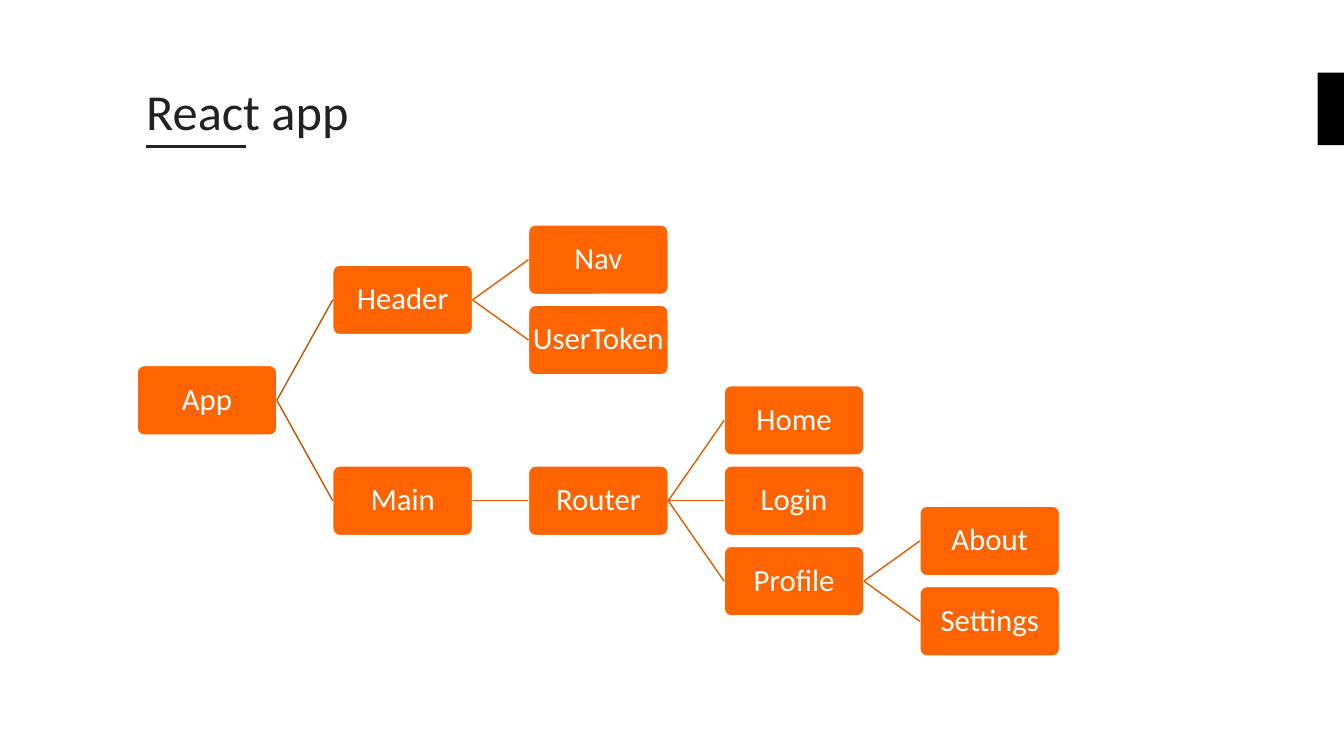
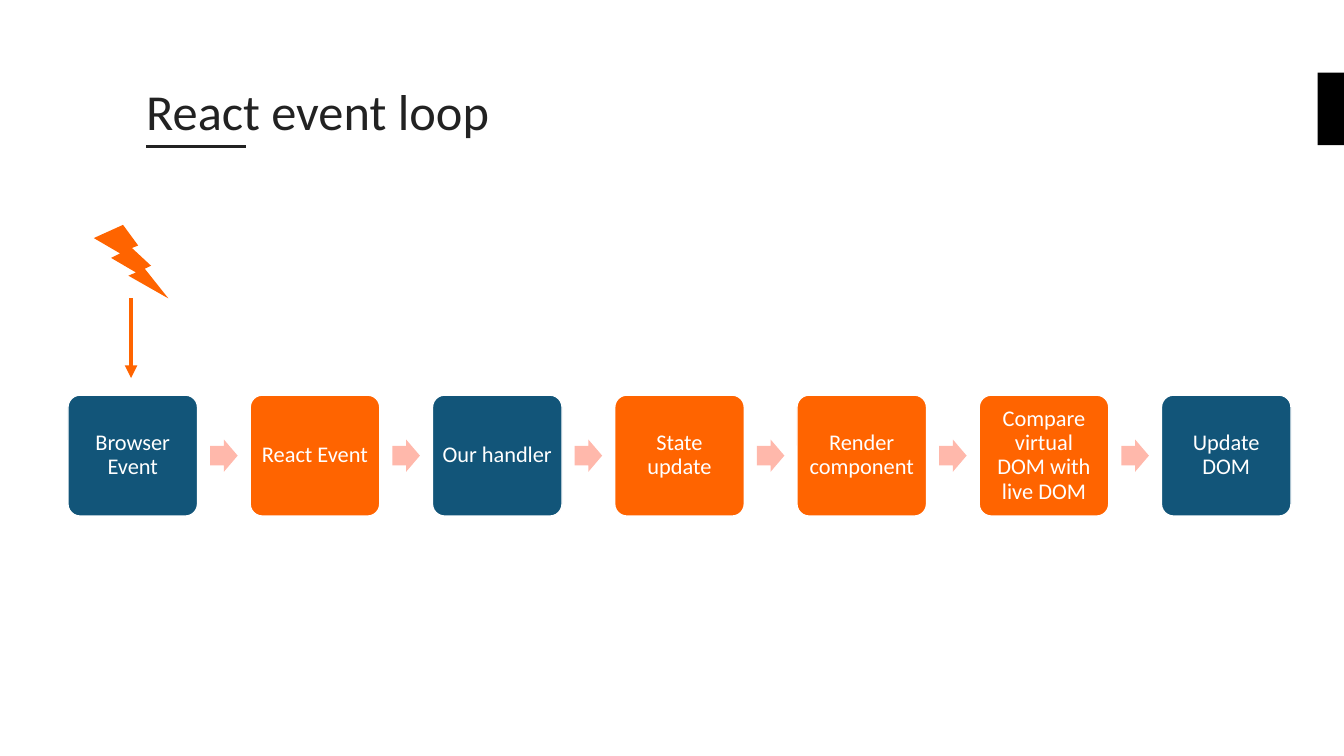
from dataclasses import dataclass

from lxml.etree import SubElement
from pptx import Presentation
from pptx.dml.color import RGBColor
from pptx.enum.shapes import MSO_CONNECTOR as Connector, MSO_SHAPE as Shape
from pptx.enum.text import MSO_ANCHOR as Anchor, PP_ALIGN as Align
from pptx.oxml.ns import qn
from pptx.util import Inches, Pt

ORANGE, BLUE, PINK = "FF6400", "125579", "FFB8AB"
INK, WHITE, BLACK = "222222", "FFFFFF", "000000"
ROOT_LINE, BRANCH_LINE = "CC5000", "E75B00"
LEFT, RIGHT = 1, 3  # connection sites of a rectangle

COMPONENTS = {
    "App": ["Header", "Main"],
    "Header": ["Nav", "UserToken"],
    "Main": ["Router"],
    "Router": ["Home", "Login", "Profile"],
    "Profile": ["About", "Settings"],
}
STEPS = [
    ("Browser Event", BLUE),
    ("React Event", ORANGE),
    ("Our handler", BLUE),
    ("State update", ORANGE),
    ("Render component", ORANGE),
    ("Compare virtual DOM with live DOM", ORANGE),
    ("Update DOM", BLUE),
]


def color(value):
    return RGBColor.from_string(value)


@dataclass
class Grid:
    """Equal cells; all lengths are percent of the slide's width or height."""
    left: float
    top: float
    column_step: float
    row_step: float
    width: float
    height: float

    def cell(self, column, row=0):
        return (self.left + column * self.column_step,
                self.top + row * self.row_step, self.width, self.height)


class Deck:
    """Style and current page; positions are percent of the slide's size."""
    font = "Calibri"

    def __init__(self):
        self.file = Presentation()
        self.file.slide_width = Inches(13.33)
        self.file.slide_height = Inches(7.5)
        self.page = None

    def x(self, share):
        return round(self.file.slide_width * share / 100)

    def y(self, share):
        return round(self.file.slide_height * share / 100)

    def area(self, left, top, width, height):
        return self.x(left), self.y(top), self.x(width), self.y(height)

    def add_page(self, title):
        self.page = self.file.slides.add_slide(self.file.slide_layouts[5])
        self.add_shape(Shape.RECTANGLE, (98.03, 9.6, 1.97, 9.6), BLACK)
        self.add_line((10.88, 19.4), (18.3, 19.4), INK, 2)
        box = self.page.shapes.title
        place = self.area(10.13, 5.33, 83.25, 14)
        for name, value in zip(("left", "top", "width", "height"), place):
            setattr(box, name, value)
        self.set_text(box, title, size=36, ink=INK, align=Align.LEFT,
                      anchor=Anchor.BOTTOM, margins=(0.1, 0.05))

    def set_text(self, box, text, size, ink=WHITE, align=Align.CENTER,
                 anchor=Anchor.MIDDLE, margins=(0, 0)):
        frame = box.text_frame
        across, down = map(Inches, margins)
        settings = {"word_wrap": True, "vertical_anchor": anchor,
                    "margin_left": across, "margin_right": across,
                    "margin_top": down, "margin_bottom": down}
        for name, value in settings.items():
            setattr(frame, name, value)
        para = frame.paragraphs[0]
        para.alignment, para.line_spacing = align, 0.9
        span = para.add_run()
        span.text = text
        for name, value in {"name": self.font, "size": Pt(size)}.items():
            setattr(span.font, name, value)
        span.font.color.rgb = color(ink)

    def add_shape(self, kind, place, fill, outline=None, adjustments=()):
        shape = self.page.shapes.add_shape(kind, *self.area(*place))
        shape.shadow.inherit = False
        shape.fill.solid()
        shape.fill.fore_color.rgb = color(fill)
        if outline:
            shape.line.color.rgb = color(outline)
            shape.line.width = Pt(1)
        else:
            shape.line.fill.background()
        for index, value in enumerate(adjustments):
            shape.adjustments[index] = value
        return shape

    def add_card(self, place, text, fill, size, margin):
        card = self.add_shape(Shape.ROUNDED_RECTANGLE, place, fill, WHITE, [0.1])
        self.set_text(card, text, size, margins=(margin, margin))
        return card

    def add_line(self, start, end, ink, width, arrow=False):
        line = self.page.shapes.add_connector(
            Connector.STRAIGHT, self.x(start[0]), self.y(start[1]),
            self.x(end[0]), self.y(end[1]))
        line.line.color.rgb = color(ink)
        line.line.width = Pt(width)
        properties = line._element.spPr
        if arrow:
            SubElement(properties.find(qn("a:ln")), qn("a:tailEnd"), type="triangle")
        SubElement(properties, qn("a:effectLst"))
        return line

    def join(self, parent, child, ink):
        line = self.add_line((0, 0), (0, 0), ink, 1)
        line.begin_connect(parent, RIGHT)
        line.end_connect(child, LEFT)


def add_tree(deck, grid, name, column, row):
    """Draw a component and, centred on its row, its children."""
    card = deck.add_card(grid.cell(column, row), name, ORANGE, size=22, margin=0)
    children = COMPONENTS.get(name, [])
    spread, ink = (1, BRANCH_LINE) if column else (2.5, ROOT_LINE)
    for index, child in enumerate(children):
        child_row = row + spread * (index - (len(children) - 1) / 2)
        child_card = add_tree(deck, grid, child, column + 1, child_row)
        deck.join(card, child_card, ink)
    return card


def add_app_page(deck):
    deck.add_page("React app")
    grid = Grid(10.2, 29.75, 14.56, 10.63, 10.4, 9.2)
    add_tree(deck, grid, "App", column=0, row=1.75)


def add_event_page(deck):
    deck.add_page("React event loop")
    grid = Grid(5.06, 52.27, 13.56, 0, 9.64, 16)
    arrow_width, arrow_height = 2.05, 4.27
    for column, (text, fill) in enumerate(STEPS):
        left, top, width, height = grid.cell(column)
        deck.add_card((left, top, width, height), text, fill, size=16, margin=0.06)
        if column < len(STEPS) - 1:
            arrow_left = left + width + (grid.column_step - width - arrow_width) / 2
            arrow_top = top + (height - arrow_height) / 2
            deck.add_shape(Shape.RIGHT_ARROW,
                           (arrow_left, arrow_top, arrow_width, arrow_height),
                           PINK, adjustments=[0.6, 0.5])
    deck.add_shape(Shape.LIGHTNING_BOLT, (6.98, 29.75, 5.55, 9.73), ORANGE)
    deck.add_line((9.75, 39.48), (9.75, 50), ORANGE, 3, arrow=True)


def main():
    deck = Deck()
    add_app_page(deck)
    add_event_page(deck)
    deck.file.save("out.pptx")


if __name__ == "__main__":
    main()
